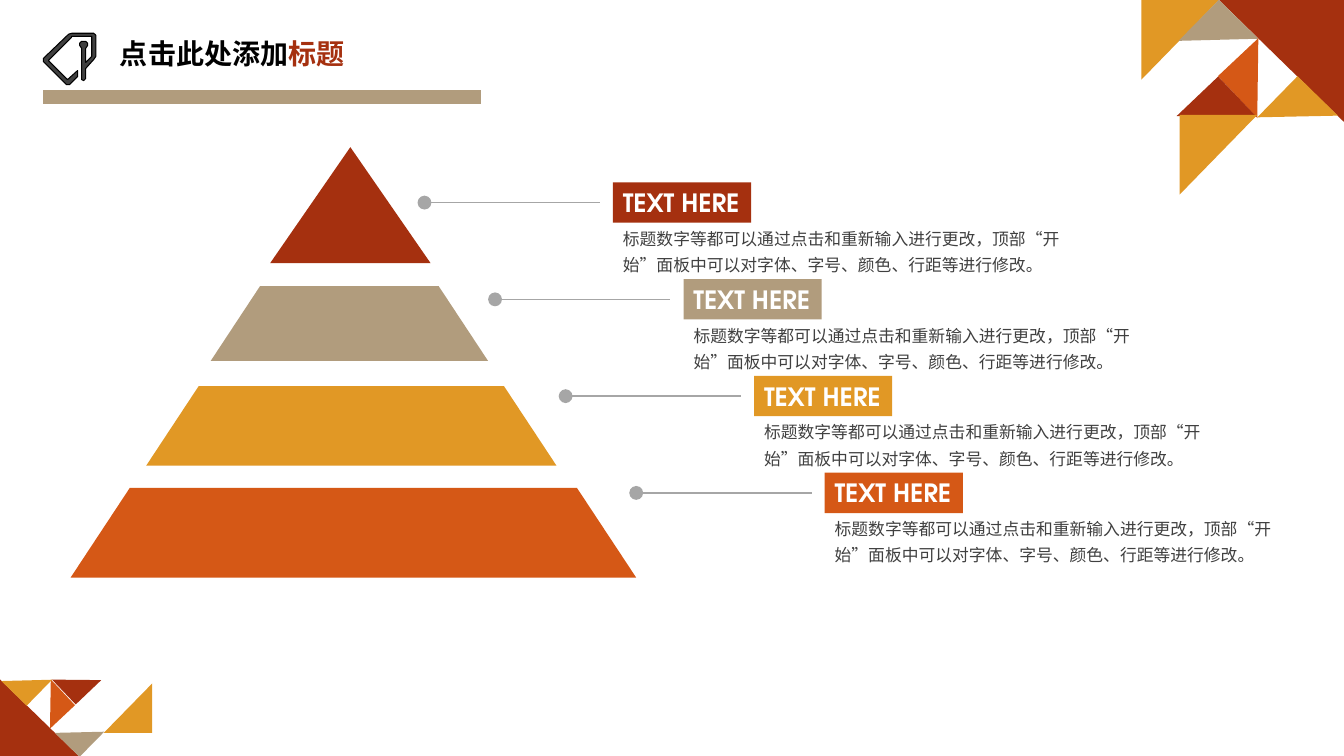
from dataclasses import dataclass
from typing import NamedTuple

from lxml import etree
from pptx import Presentation
from pptx.dml.color import RGBColor
from pptx.enum import shapes, text
from pptx.oxml.ns import qn
from pptx.util import Inches, Pt


@dataclass(frozen=True)
class Theme:
    font: str = "TeX Gyre Adventor"
    red: str = "A5300F"
    tan: str = "B19C7D"
    gold: str = "E19825"
    orange: str = "D55816"
    black: str = "000000"
    white: str = "FFFFFF"
    dark_gray: str = "404040"
    light_gray: str = "A6A6A6"
    title_size: int = 20
    label_size: int = 18
    body_size: int = 12


class Box(NamedTuple):
    left: float
    top: float
    width: float
    height: float

    def lengths(self) -> tuple:
        return tuple(Inches(value) for value in self)


class Corner(NamedTuple):
    """A right-angled triangle of the corner ornaments."""
    box: Box
    rotation: float
    color: str


class Level(NamedTuple):
    """One layer of the pyramid, with the colour its label shares."""
    box: Box
    preset: shapes.MSO_SHAPE
    color: str


THEME = Theme()
LABEL = "TEXT HERE"
DETAIL = ("标题数字等都可以通过点击和重新输入进行更改，顶部“开始”面板中"
          "可以对字体、字号、颜色、行距等进行修改。")
TITLE_PARTS = (("点击此处添加", THEME.black), ("标题", THEME.red))

CORNERS = (
    Corner(Box(0.01, 6.73, 0.76, 0.78), 90, THEME.red),
    Corner(Box(0.62, 7.09, 0.34, 0.35), 44.5, THEME.tan),
    Corner(Box(0.33, 6.81, 0.34, 0.35), 316.8, THEME.orange),
    Corner(Box(0.09, 6.57, 0.35, 0.36), 44.3, THEME.gold),
    Corner(Box(0.59, 6.57, 0.34, 0.35), 46.4, THEME.red),
    Corner(Box(1.03, 6.78, 0.48, 0.49), 0, THEME.gold),
    Corner(Box(12.1, -0.02, 1.22, 1.25), 270, THEME.red),
    Corner(Box(11.32, 0, 0.77, 0.79), 180, THEME.gold),
    Corner(Box(11.81, 0.11, 0.55, 0.57), 224.5, THEME.tan),
    Corner(Box(12.2, 0.49, 0.55, 0.57), 136.8, THEME.orange),
    Corner(Box(12.59, 0.87, 0.56, 0.57), 224.3, THEME.gold),
    Corner(Box(11.79, 0.87, 0.55, 0.57), 226.4, THEME.red),
    Corner(Box(11.7, 1.14, 0.77, 0.79), 180, THEME.gold),
)

LEVELS = (
    Level(Box(2.68, 1.46, 1.59, 1.15), shapes.MSO_SHAPE.ISOSCELES_TRIANGLE, THEME.red),
    Level(Box(2.09, 2.84, 2.75, 0.74), shapes.MSO_SHAPE.TRAPEZOID, THEME.tan),
    Level(Box(1.45, 3.83, 4.07, 0.79), shapes.MSO_SHAPE.TRAPEZOID, THEME.gold),
    Level(Box(0.7, 4.84, 5.61, 0.89), shapes.MSO_SHAPE.TRAPEZOID, THEME.orange),
)
TRAPEZOID_SLOPE = 0.66
LABEL_LEFT, LABEL_TOP = 6.08, 1.81
STEP_RIGHT, STEP_DOWN = 0.7, 0.96

TAG_OUTLINE = (
    (0.93, 0.33), (0.71, 0.33), (0.68, 0.34), (0.43, 0.58), (0.43, 0.61),
    (0.66, 0.84), (0.67, 0.84), (0.69, 0.84), (0.77, 0.76), (0.77, 0.7),
    (0.67, 0.79), (0.48, 0.6), (0.71, 0.37), (0.71, 0.36), (0.91, 0.36),
    (0.91, 0.56), (0.85, 0.62), (0.85, 0.48), (0.87, 0.45), (0.87, 0.43),
    (0.85, 0.41), (0.83, 0.41), (0.81, 0.41), (0.79, 0.43), (0.79, 0.45),
    (0.81, 0.48), (0.81, 0.77), (0.81, 0.79), (0.83, 0.8), (0.85, 0.78),
    (0.85, 0.68), (0.93, 0.59), (0.95, 0.56), (0.95, 0.35),
)


def rgb(color: str) -> RGBColor:
    return RGBColor.from_string(color)


def fill_flat(shape, color: str) -> None:
    """Give a shape a plain fill with neither outline nor shadow."""
    shape.shadow.inherit = False
    shape.fill.solid()
    shape.fill.fore_color.rgb = rgb(color)
    shape.line.fill.background()


def format_run(run, size: int, color: str, bold: bool = False) -> None:
    run.font.name = THEME.font
    run.font.size = Pt(size)
    run.font.bold = bold
    run.font.color.rgb = rgb(color)


def add_preset(slide, preset: shapes.MSO_SHAPE, box: Box, color: str):
    shape = slide.shapes.add_shape(preset, *box.lengths())
    fill_flat(shape, color)
    return shape


def add_horizontal_line(slide, left: float, right: float, y: float,
                        color: str, width: float):
    line = slide.shapes.add_connector(
        shapes.MSO_CONNECTOR.STRAIGHT, Inches(left), Inches(y), Inches(right), Inches(y))
    line.line.color.rgb = rgb(color)
    line.line.width = Pt(width)
    etree.SubElement(line._element.spPr, qn("a:effectLst"))
    return line


def add_corner(slide, corner: Corner) -> None:
    shape = add_preset(slide, shapes.MSO_SHAPE.ISOSCELES_TRIANGLE, corner.box, corner.color)
    shape.adjustments[0] = 1
    shape.rotation = corner.rotation


def add_tag_icon(slide) -> None:
    first, *others = [(Inches(x), Inches(y)) for x, y in TAG_OUTLINE]
    builder = slide.shapes.build_freeform(*first)
    builder.add_line_segments(others, close=True)
    icon = builder.convert_to_shape()
    fill_flat(icon, THEME.dark_gray)
    icon.line.color.rgb = rgb(THEME.black)
    icon.line.width = Pt(0.75)


def add_title(slide) -> None:
    title = slide.shapes.title
    title.left, title.top, title.width, title.height = Box(1.09, 0.26, 4.88, 0.58).lengths()
    title.text_frame.vertical_anchor = text.MSO_ANCHOR.MIDDLE
    paragraph = title.text_frame.paragraphs[0]
    paragraph.alignment = text.PP_ALIGN.LEFT
    paragraph.line_spacing = 0.9
    paragraph.space_before = Pt(10)
    for words, color in TITLE_PARTS:
        run = paragraph.add_run()
        run.text = words
        format_run(run, THEME.title_size, color, bold=True)


def add_level(slide, level: Level) -> None:
    shape = add_preset(slide, level.preset, level.box, level.color)
    if level.preset == shapes.MSO_SHAPE.TRAPEZOID:
        shape.adjustments[0] = TRAPEZOID_SLOPE


def add_callout(slide, left: float, top: float, color: str) -> None:
    """Draw a dotted leader, a coloured label and the detail text below it."""
    leader = add_horizontal_line(slide, left - 1.87, left - 0.13, top + 0.2,
                                 THEME.light_gray, 1)
    etree.SubElement(leader.line._get_or_add_ln(), qn("a:headEnd"),
                     type="oval", w="lg", len="lg")

    label = add_preset(slide, shapes.MSO_SHAPE.RECTANGLE, Box(left, top, 1.37, 0.4), color)
    label.text_frame.text = LABEL
    label.text_frame.word_wrap = False
    paragraph = label.text_frame.paragraphs[0]
    paragraph.alignment = text.PP_ALIGN.LEFT
    format_run(paragraph.runs[0], THEME.label_size, THEME.white, bold=True)

    detail = slide.shapes.add_textbox(*Box(left, top + 0.35, 4.59, 0.6).lengths())
    detail.text_frame.word_wrap = True
    detail.text_frame.text = DETAIL
    paragraph = detail.text_frame.paragraphs[0]
    paragraph.line_spacing = 1.3
    format_run(paragraph.runs[0], THEME.body_size, THEME.dark_gray)


def main() -> None:
    presentation = Presentation()
    presentation.slide_width = Inches(13.33)
    presentation.slide_height = Inches(7.5)
    slide = presentation.slides.add_slide(presentation.slide_layouts.get_by_name("Title Only"))

    add_tag_icon(slide)
    add_horizontal_line(slide, 0.43, 4.77, 0.96, THEME.tan, 10)
    for corner in CORNERS:
        add_corner(slide, corner)
    add_title(slide)
    for level in LEVELS:
        add_level(slide, level)
    for index, level in enumerate(LEVELS):
        add_callout(slide, LABEL_LEFT + index * STEP_RIGHT,
                    LABEL_TOP + index * STEP_DOWN, level.color)

    presentation.save("out.pptx")


if __name__ == "__main__":
    main()
